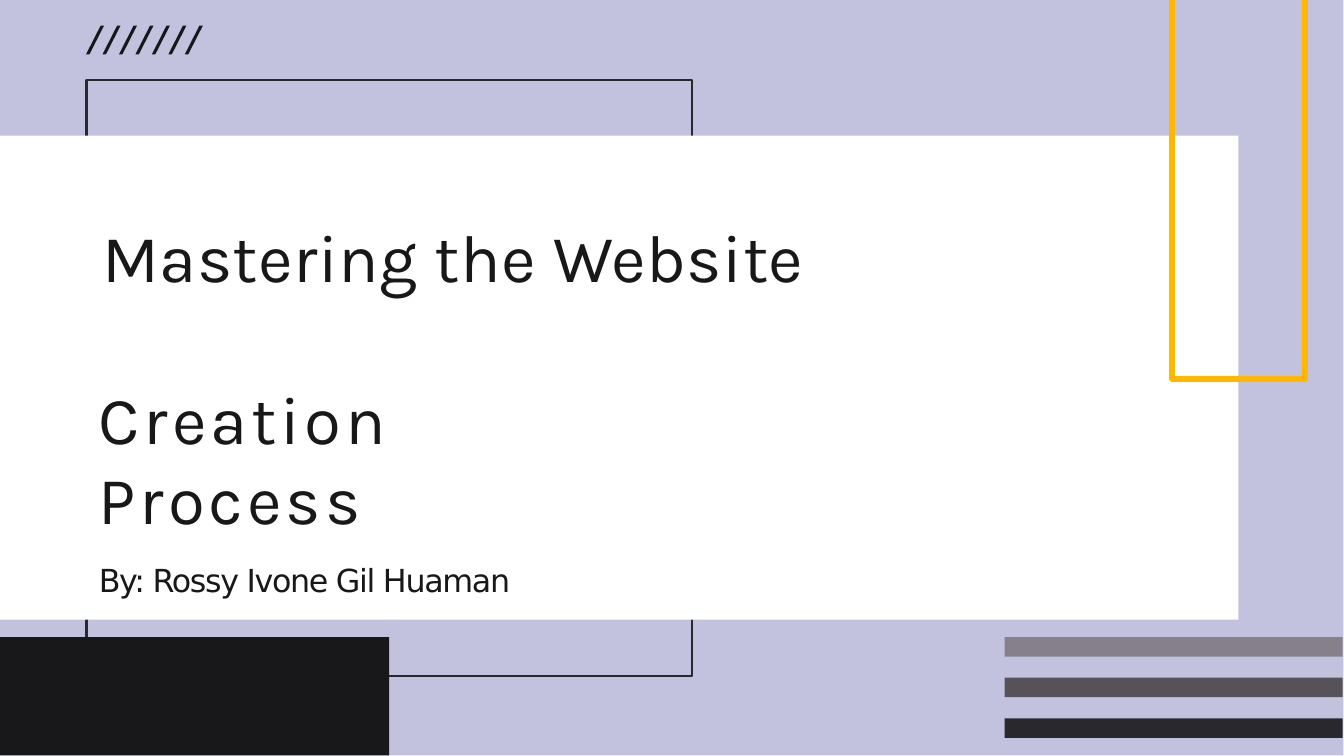
"""Build the cover slide for a talk on making websites."""
from dataclasses import dataclass

from pptx import Presentation
from pptx.dml.color import RGBColor
from pptx.enum.shapes import MSO_SHAPE
from pptx.enum.text import MSO_ANCHOR, MSO_AUTO_SIZE, PP_ALIGN
from pptx.util import Inches, Pt

RECT = MSO_SHAPE.RECTANGLE
SLASH = MSO_SHAPE.PARALLELOGRAM
TOP = MSO_ANCHOR.TOP
GROW = MSO_AUTO_SIZE.SHAPE_TO_FIT_TEXT
LEFT = PP_ALIGN.LEFT

COLORS = {
    "lilac": "C2C2DF",
    "white": "FFFFFF",
    "ink": "18181A",
    "coal": "29282C",
    "slate": "575259",
    "ash": "86808A",
    "gold": "FFB700",
}


@dataclass(frozen=True)
class Box:
    """Place and size in inches."""
    left: float
    top: float
    width: float
    height: float

    def place(self) -> tuple:
        """Return the four lengths."""
        return tuple(map(Inches, (self.left, self.top, self.width, self.height)))


def tint(name: str) -> RGBColor:
    """Look up a colour by name."""
    return RGBColor.from_string(COLORS[name])


def block(slide, box: Box, color: str, kind=RECT):
    """Draw a filled shape without a line."""
    shape = slide.shapes.add_shape(kind, *box.place())
    shape.shadow.inherit = False
    shape.fill.solid()
    shape.fill.fore_color.rgb = tint(color)
    shape.line.fill.background()
    return shape


def outline(shape, color: str, width: float) -> None:
    """Leave only the line of a shape."""
    shape.shadow.inherit = False
    shape.fill.background()
    shape.line.color.rgb = tint(color)
    shape.line.width = Pt(width)


def write(shape, text: str, *, font: str, size: float, lead: float, gap: float) -> None:
    """Set the text of a shape with its format."""
    frame = shape.text_frame
    frame.word_wrap = True
    frame.auto_size = GROW
    frame.vertical_anchor = TOP
    frame.margin_left = frame.margin_right = 0
    frame.margin_top = frame.margin_bottom = 0
    para = frame.paragraphs[0]
    para.alignment = LEFT
    para.line_spacing = Pt(lead)
    run = para.add_run()
    run.text = text
    run.font.name = font
    run.font.size = Pt(size)
    run.font.color.rgb = tint("ink")
    run.font._element.set("spc", str(round(gap * 100)))


def main() -> None:
    """Draw the slide and save it."""
    deck = Presentation()
    deck.slide_width, deck.slide_height = Inches(20), Inches(11.25)
    slide = deck.slides.add_slide(deck.slide_layouts[5])
    shapes = slide.shapes
    title = shapes.title

    block(slide, Box(0, 0, 19.99, 11.24), "lilac")
    frame = shapes.add_shape(RECT, *Box(1.29, 1.19, 9.01, 8.87).place())
    outline(frame, "coal", 2.9)
    block(slide, Box(0, 2.02, 18.43, 7.2), "white")

    for i in range(7):
        slash = block(slide, Box(1.28 + i * 0.245, 0.38, 0.27, 0.43), "ink", SLASH)
        slash.adjustments[0] = 0.81

    big = {"font": "Karla", "size": 72, "lead": 86.3}
    title.left, title.top, title.width, title.height = Box(1.52, 3.21, 11.26, 1.22).place()
    shapes._spTree.append(title._element)
    write(title, "Mastering the Website", gap=0.6, **big)
    second = shapes.add_textbox(*Box(1.47, 5.61, 8.53, 1.22).place())
    write(second, "Creation Process", gap=4.3, **big)

    path = shapes.build_freeform(Inches(17.44), 0)
    path.add_line_segments(
        [(Inches(x), Inches(y)) for x, y in ((17.44, 5.64), (19.42, 5.64), (19.42, 0))],
        close=False,
    )
    outline(path.convert_to_shape(), "gold", 6)

    for i, color in enumerate(("ash", "slate", "coal")):
        block(slide, Box(14.95, 9.48 + i * 0.605, 5.03, 0.29), color)
    block(slide, Box(0, 9.48, 5.79, 1.76), "ink")

    author = shapes.add_textbox(*Box(1.47, 8.34, 14.58, 0.56).place())
    write(author, "By: Rossy Ivone Gil Huaman", font="DejaVu Sans", size=34, lead=40.9, gap=-1.4)

    deck.save("out.pptx")


if __name__ == "__main__":
    main()
